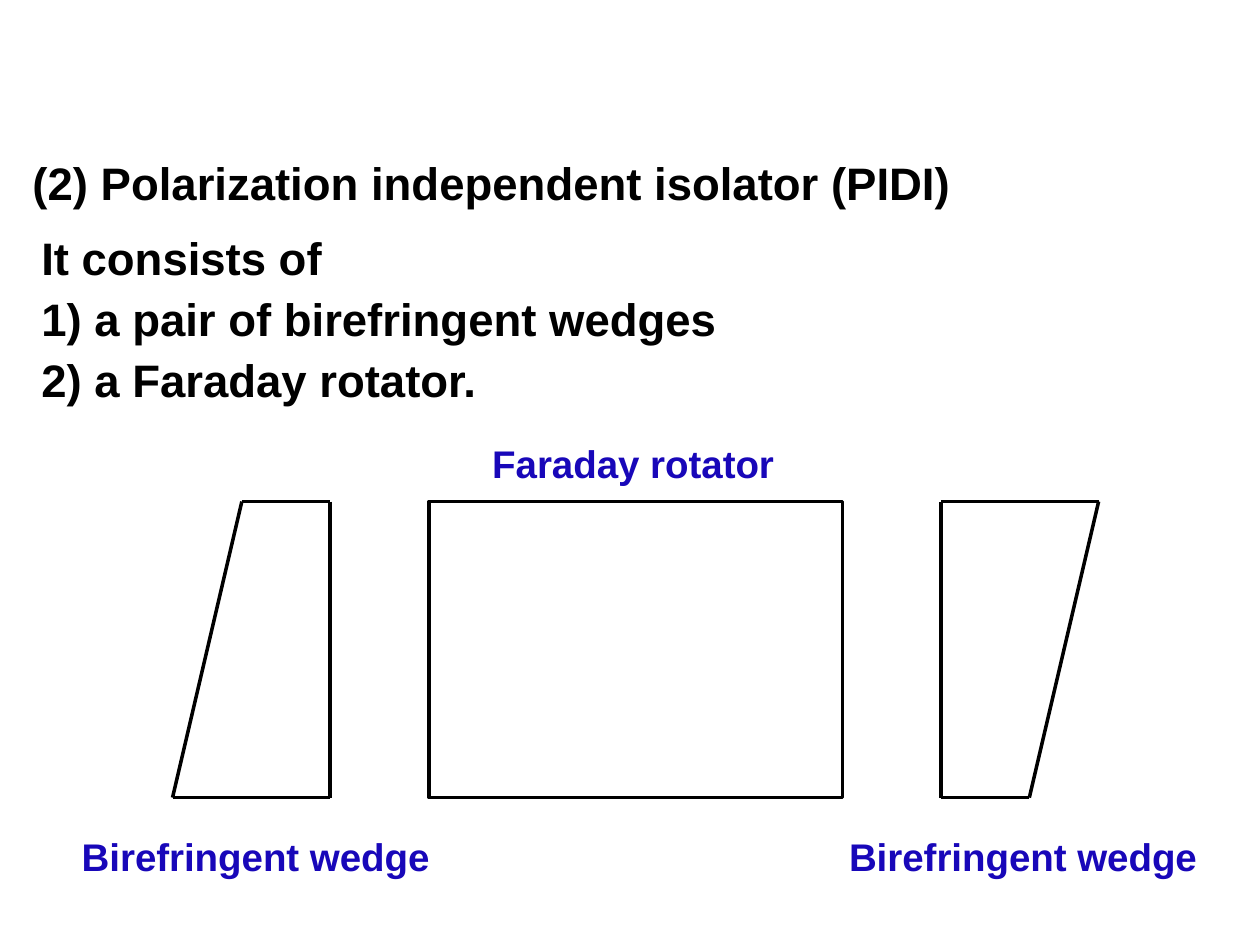
from pptx import Presentation
from pptx.dml.color import RGBColor
from pptx.enum.shapes import MSO_CONNECTOR as Link, MSO_SHAPE as Shape
from pptx.enum.text import MSO_AUTO_SIZE as Fit, PP_ALIGN as Align
from pptx.util import Pt
from lxml.etree import SubElement
from pptx.oxml.ns import qn

INK, BLUE = "000000", "1807B9"


def tint(code):
    """Turn a hex string into a colour."""
    return RGBColor.from_string(code)


def add_text(slide, box, lines, size, color, wrap=False, pitch=None):
    """Place bold lines of text in a box."""
    frame = slide.shapes.add_textbox(*map(Pt, box)).text_frame
    frame.word_wrap = wrap
    frame.auto_size = Fit.SHAPE_TO_FIT_TEXT
    frame.text = "\n".join(lines)
    for para in frame.paragraphs:
        if pitch:
            para.line_spacing = Pt(pitch)
        font = para.font
        font.name, font.size, font.bold = "Arial", Pt(size), True
        font.color.rgb = tint(color)
    return frame


def draw_line(line):
    """Give a line the common pen."""
    line.color.rgb = tint(INK)
    line.width = Pt(2)


def add_wedge(slide, left, top, points):
    """Join the corners of a wedge with straight edges."""
    for (x1, y1), (x2, y2) in zip(points, points[1:] + points[:1]):
        ends = (left + x1, top + y1, left + x2, top + y2)
        edge = slide.shapes.add_connector(Link.STRAIGHT, *map(Pt, ends))
        draw_line(edge.line)
        SubElement(edge._element.spPr, qn("a:effectLst"))


def add_intro(slide, left, top, width):
    """Place the heading and the list of parts."""
    add_text(slide, (left, top, 544.3, 38.9),
             ["(2) Polarization independent isolator (PIDI)"], 26, INK)
    body = add_text(slide, (left + 5, top + 38.9, width, 113),
                    ["It consists of", "1) a pair of birefringent wedges",
                     "2) a Faraday rotator."], 26, INK, True, 35)
    body.paragraphs[1].alignment = Align.JUSTIFY


def add_optics(slide, left, top, width, height):
    """Draw the rotator between its two wedges, with labels."""
    base, slant, core = 90, 39.6, 236.2
    far = width - base
    add_wedge(slide, left, top,
              [(slant, 0), (base, 0), (base, height), (0, height)])
    add_wedge(slide, left, top,
              [(far, 0), (width, 0), (width - slant, height), (far, height)])
    mid = left + width / 2
    rotor = slide.shapes.add_shape(
        Shape.RECTANGLE, *map(Pt, (mid - core / 2, top, core, height)))
    rotor.shadow.inherit = False
    rotor.fill.background()
    draw_line(rotor.line)
    add_text(slide, (mid - 89, top - 38.9, 178, 33.8),
             ["Faraday rotator"], 22, BLUE)
    for x in (left - 59, left + width - 149.7):
        add_text(slide, (x, top + 185.7, 216, 33.8),
                 ["Birefringent wedge"], 22, BLUE)


def main():
    """Build the slide and save it."""
    deck = Presentation()
    deck.slide_width, deck.slide_height = Pt(720), Pt(540)
    slide = deck.slides.add_slide(deck.slide_layouts[6])
    add_intro(slide, 11.5, 85, 675.4)
    add_optics(slide, 98.6, 286.6, 529.2, 169.2)
    deck.save("out.pptx")


if __name__ == "__main__":
    main()
